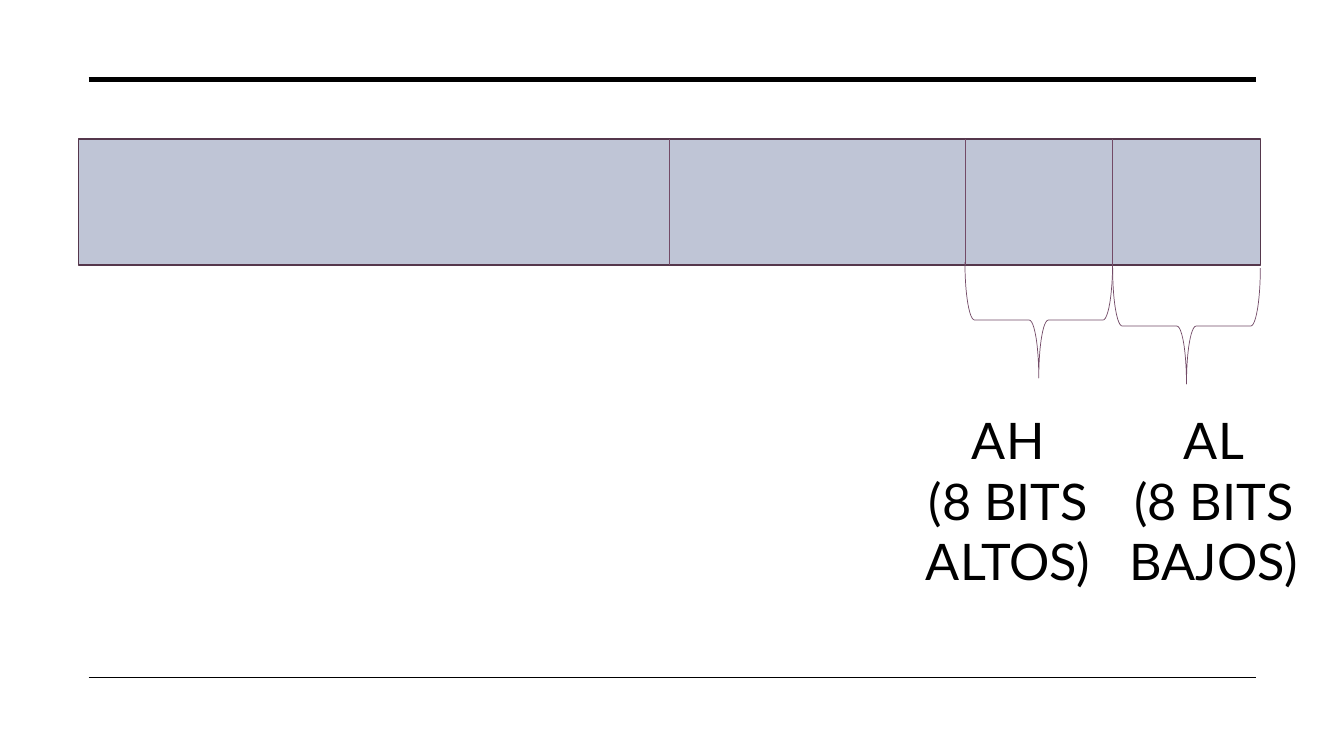
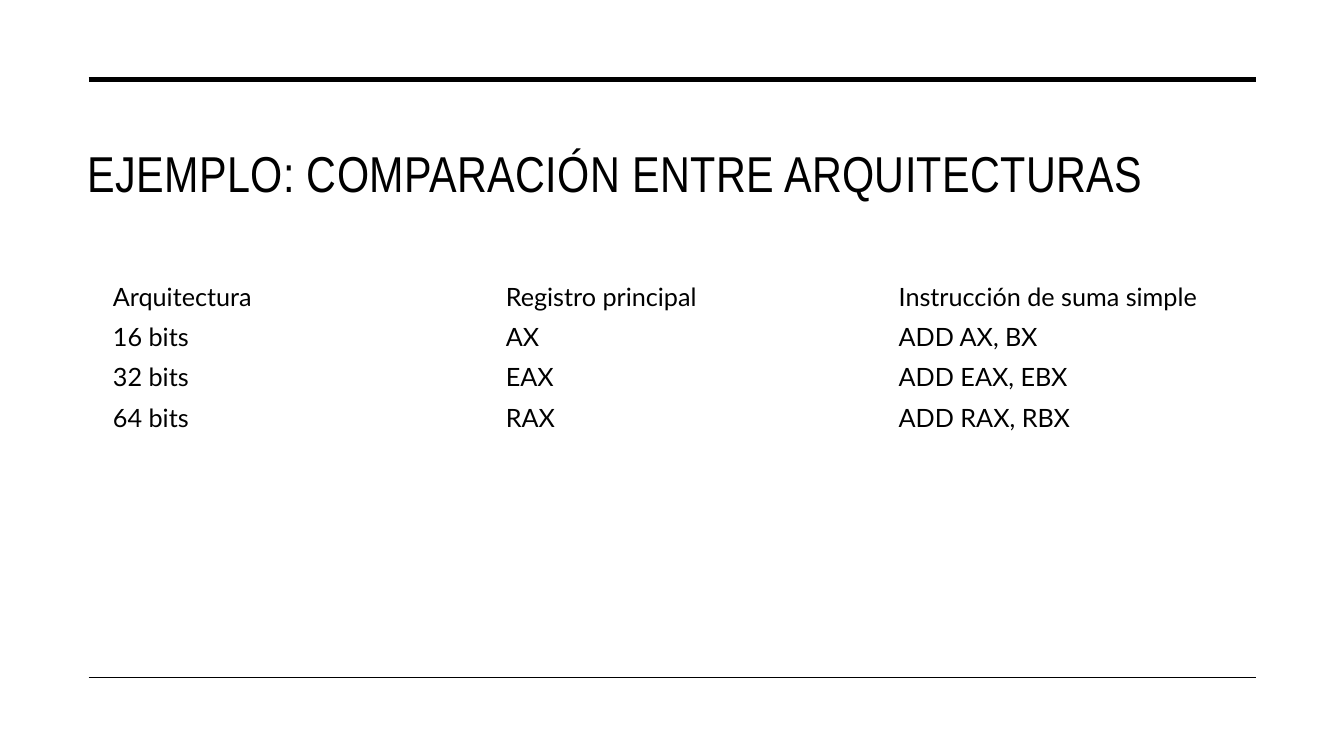
"""Build two slides about register parts and architectures."""
from lxml.etree import SubElement
from pptx import Presentation
from pptx.dml.color import RGBColor
from pptx.enum.shapes import MSO_CONNECTOR, MSO_SHAPE
from pptx.enum.text import MSO_ANCHOR, MSO_AUTO_SIZE, PP_ALIGN
from pptx.oxml.ns import qn
from pptx.util import Inches, Pt

BLACK = RGBColor(0x00, 0x00, 0x00)
PLUM = RGBColor(0x73, 0x4B, 0x67)
DARK = RGBColor(0x55, 0x37, 0x4C)
PALE = RGBColor(0xBF, 0xC5, 0xD6)
HEAD, BODY = "Arial Narrow", "Lato"

BAR_X, BAR_Y, BAR_W, BAR_H = 0.78, 1.38, 11.72, 1.25
BITS = 64
PARTS = [
    ("AH", "(8 BITS ALTOS)", 48, 2.6, 8.71),
    ("AL", "(8 BITS BAJOS)", 56, 2.66, 10.75),
]
ROWS = [
    ("Arquitectura", "Registro principal", "Instrucción de suma simple"),
    ("16 bits", "AX", "ADD AX, BX"),
    ("32 bits", "EAX", "ADD EAX, EBX"),
    ("64 bits", "RAX", "ADD RAX, RBX"),
]


def style(para, face, size):
    para.font.name = face
    para.font.size = Pt(size)
    para.font.color.rgb = BLACK


def add_line(slide, x1, y1, x2, y2, color, width):
    ends = [Inches(v) for v in (x1, y1, x2, y2)]
    line = slide.shapes.add_connector(MSO_CONNECTOR.STRAIGHT, *ends)
    line.line.color.rgb = color
    line.line.width = Pt(width)
    SubElement(line._element.spPr, qn("a:effectLst"))


def add_form(slide, kind, x, y, w, h, color, width, fill=None):
    form = slide.shapes.add_shape(kind, *[Inches(v) for v in (x, y, w, h)])
    form.shadow.inherit = False
    form.line.color.rgb = color
    form.line.width = Pt(width)
    if fill is None:
        form.fill.background()
    else:
        form.fill.solid()
        form.fill.fore_color.rgb = fill
    return form


def add_text(slide, x, y, w, h, lines, face, align):
    box = slide.shapes.add_textbox(*[Inches(v) for v in (x, y, w, h)])
    frame = box.text_frame
    frame.word_wrap = True
    frame.text = "\n".join(lines)
    for para in frame.paragraphs:
        para.alignment = align
        style(para, face, 36)
    return frame


def add_title(slide, text):
    frame = add_text(slide, 0.77, 1.31, 11.69, 0.88, [text], HEAD, PP_ALIGN.LEFT)
    frame.vertical_anchor = MSO_ANCHOR.MIDDLE
    para = frame.paragraphs[0]
    para.line_spacing = 0.9
    para.runs[0]._r.get_or_add_rPr().set("spc", "30")


def add_brace(slide, x, y, w, depth):
    left, top = x + (w - depth) / 2, y + (depth - w) / 2
    brace = add_form(slide, MSO_SHAPE.RIGHT_BRACE, left, top, depth, w, PLUM, 0.5)
    brace.rotation = 90


def add_grid(slide, x, y, w, row_h, rows):
    sizes = [Inches(v) for v in (x, y, w, row_h * len(rows))]
    grid = slide.shapes.add_table(len(rows), len(rows[0]), *sizes).table
    grid.first_row = grid.horz_banding = False
    for r, row in enumerate(rows):
        for c, text in enumerate(row):
            cell = grid.cell(r, c)
            cell.text = text
            cell.fill.background()
            cell.vertical_anchor = MSO_ANCHOR.MIDDLE
            style(cell.text_frame.paragraphs[0], BODY, 18)


def new_slide(deck):
    slide = deck.slides.add_slide(deck.slide_layouts[6])
    for y, width in ((0.79, 3.5), (6.72, 1)):
        add_line(slide, 0.88, y, 12.46, y, BLACK, width)
    return slide


def draw_bits(slide):
    add_form(slide, MSO_SHAPE.RECTANGLE, BAR_X, BAR_Y, BAR_W, BAR_H, DARK, 1, PALE)
    for bit in (32, 48, 56):
        x = BAR_X + BAR_W * bit / BITS
        add_line(slide, x, BAR_Y, x, BAR_Y + BAR_H, PLUM, 0.5)
    for name, note, bit, y, left in PARTS:
        x = BAR_X + BAR_W * bit / BITS
        add_brace(slide, x, y, BAR_W * 8 / BITS, 1.15)
        frame = add_text(slide, left, 4.01, 2.58, 1.92, [name, note], BODY, PP_ALIGN.CENTER)
        frame.auto_size = MSO_AUTO_SIZE.SHAPE_TO_FIT_TEXT


def main():
    deck = Presentation()
    deck.slide_width, deck.slide_height = Inches(13.33), Inches(7.5)
    draw_bits(new_slide(deck))
    slide = new_slide(deck)
    add_title(slide, "EJEMPLO: COMPARACIÓN ENTRE ARQUITECTURAS")
    add_grid(slide, 1.02, 2.74, 11.69, 0.4, ROWS)
    deck.save("out.pptx")


if __name__ == "__main__":
    main()
